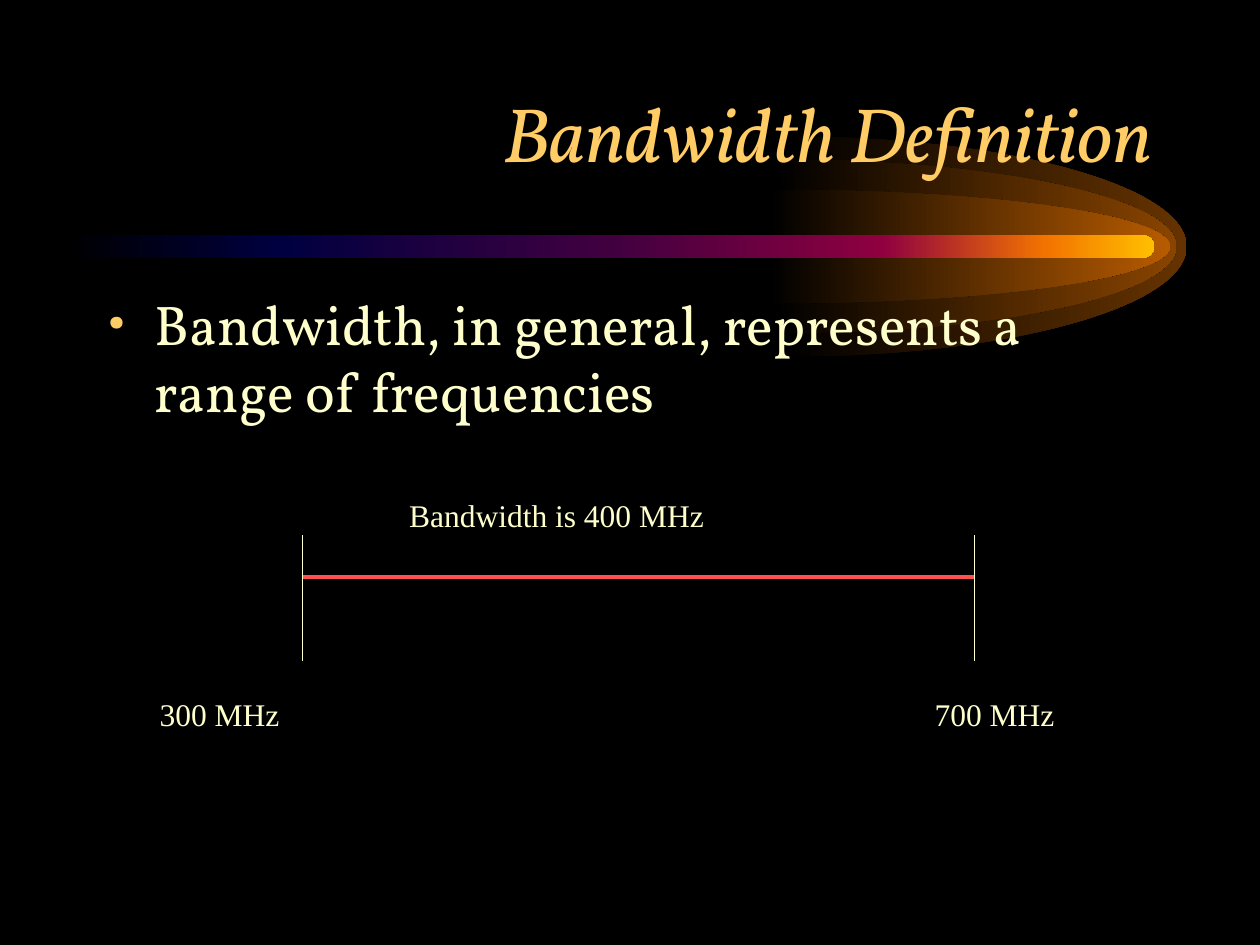
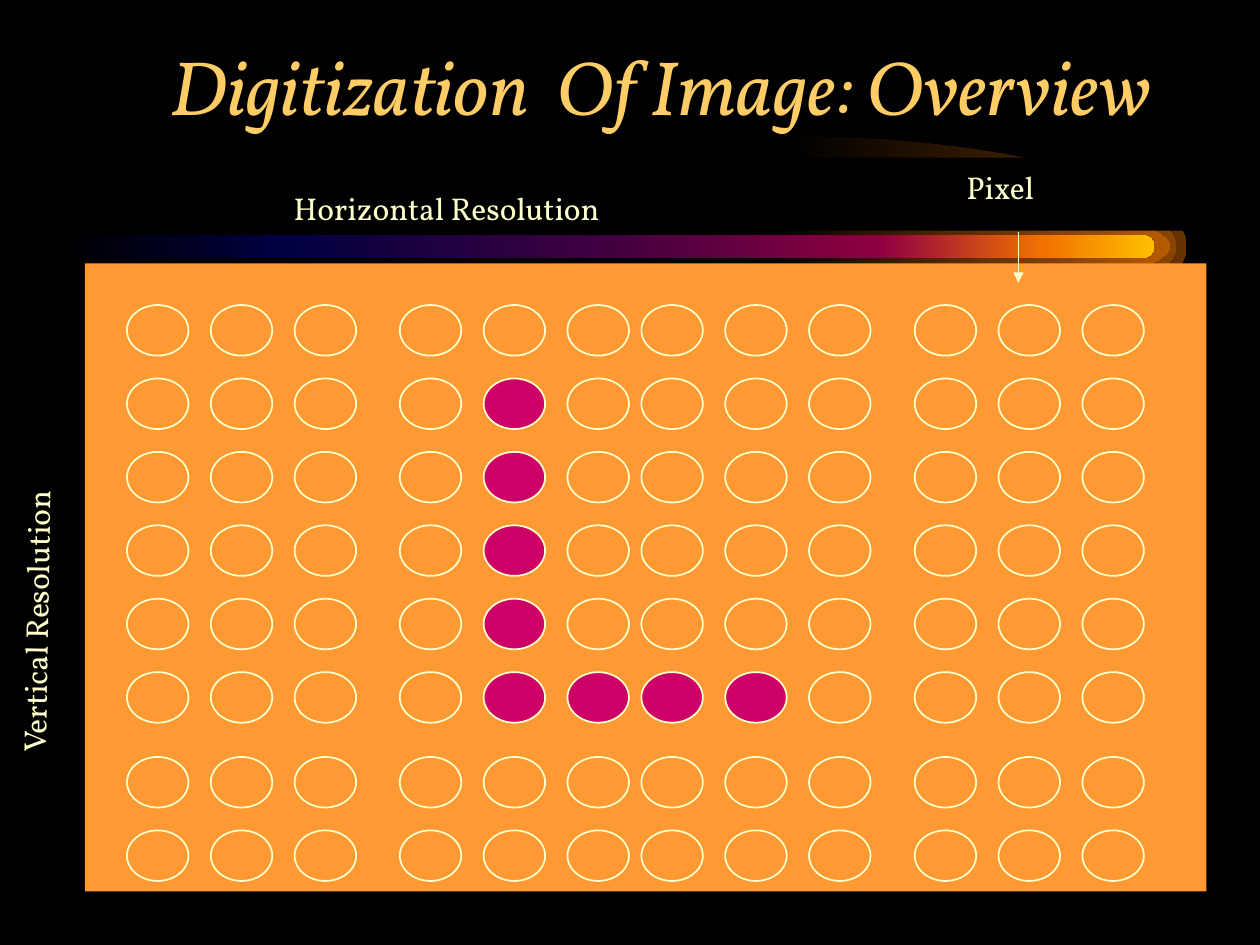
from dataclasses import dataclass

from lxml.etree import SubElement
from pptx import Presentation
from pptx.dml.color import RGBColor
from pptx.enum.shapes import MSO_CONNECTOR, MSO_SHAPE
from pptx.enum.text import MSO_ANCHOR, PP_ALIGN
from pptx.oxml.ns import qn
from pptx.util import Cm, Pt


@dataclass(frozen=True)
class Theme:
    """Colours, fonts and type sizes of the deck."""
    background: str = "000000"
    title: str = "FFCC66"
    text: str = "FFFFCC"
    span: str = "FF5050"
    screen: str = "FF9933"
    lit_pixel: str = "CC0066"
    glows: tuple = ("663300", "894400", "B75B00")
    comet: tuple = ((0, "000000"), (20, "000040"), (50, "400040"),
                    (75, "8F0040"), (90, "F27300"), (100, "FFBF00"))
    font: str = "Vollkorn"
    label_font: str = "Times New Roman"
    title_size: int = 44
    body_size: int = 32
    label_size: int = 18


THEME = Theme()
TITLE_BOX = (1.9, 1.07, 21.59, 3.18)
RAISED_TITLE_BOX = (1.9, 0.12, 21.59, 3.18)
COMET_BOX = (1.27, 4.74, 22, 0.46)
BODY_BOX = (1.91, 5.71, 21.59, 3)
RANGE_BOX = (6.1, 10.79, 13.54, 2.54)
SCREEN_BOX = (1.71, 5.31, 22.61, 12.66)
LETTER_L = {(row, 4) for row in range(1, 6)} | {(5, column) for column in range(5, 8)}
ARC_HANDLE = 0.55


def color(value):
    """Turn a hex string into a colour."""
    return RGBColor.from_string(value)


def lengths(box):
    """Turn centimetre numbers into lengths."""
    return [Cm(value) for value in box]


def set_gradient(shape, stops):
    """Fill a shape from left to right with the given stops."""
    shape.fill.gradient()
    shape.fill.gradient_angle = 0
    stop_list = shape.element.spPr.find(qn("a:gradFill")).find(qn("a:gsLst"))
    for stop in list(stop_list):
        stop_list.remove(stop)
    for position, value in stops:
        stop = SubElement(stop_list, qn("a:gs"), pos=str(position * 1000))
        SubElement(stop, qn("a:srgbClr"), val=value)


def add_preset(slide, kind, box, fill=None, line=None):
    """Add a preset shape with an optional fill and outline."""
    shape = slide.shapes.add_shape(kind, *lengths(box))
    shape.shadow.inherit = False
    if fill:
        shape.fill.solid()
        shape.fill.fore_color.rgb = color(fill)
    else:
        shape.fill.background()
    if line:
        shape.line.color.rgb = color(line)
        shape.line.width = Pt(1)
    else:
        shape.line.fill.background()
    return shape


def add_line(slide, start, end, value, width, arrow=False):
    """Add a straight line, with an arrowhead at its end if asked."""
    line = slide.shapes.add_connector(MSO_CONNECTOR.STRAIGHT, *lengths(start + end))
    line.line.color.rgb = color(value)
    line.line.width = Pt(width)
    if arrow:
        SubElement(line.line._get_or_add_ln(), qn("a:tailEnd"), type="triangle")
    SubElement(line.element.spPr, qn("a:effectLst"))


def add_text(slide, box, text, size=THEME.label_size, font=THEME.font,
             value=THEME.text, anchor=MSO_ANCHOR.TOP, bullet=False):
    """Add a one-paragraph text box."""
    shape = slide.shapes.add_textbox(*lengths(box))
    frame = shape.text_frame
    frame.word_wrap = True
    frame.vertical_anchor = anchor
    paragraph = frame.paragraphs[0]
    paragraph.text = text
    if bullet:
        properties = paragraph._p.get_or_add_pPr()
        properties.set("marL", str(Cm(0.95)))
        properties.set("indent", str(Cm(-0.95)))
        bullet_color = SubElement(properties, qn("a:buClr"))
        SubElement(bullet_color, qn("a:srgbClr"), val=THEME.title)
        SubElement(properties, qn("a:buFont"), typeface=font)
        SubElement(properties, qn("a:buChar"), char="•")
    paragraph.font.name = font
    paragraph.font.size = Pt(size)
    paragraph.font.color.rgb = color(value)
    return shape


def round_corners(shape):
    """Turn each three segments of an outline into one Bézier curve."""
    outline = next(shape.element.iter(qn("a:path")))
    segments = outline.findall(qn("a:lnTo"))
    for first in range(0, len(segments), 3):
        curve = SubElement(outline, qn("a:cubicBezTo"))
        segments[first].addprevious(curve)
        for segment in segments[first:first + 3]:
            curve.append(segment[0])
            outline.remove(segment)


def add_glow(slide, left, middle, width, radius, value):
    """Add a half ellipse that brightens to the right."""
    shoulder, rise = left + width * ARC_HANDLE, radius * ARC_HANDLE
    right, top, bottom = left + width, middle - radius, middle + radius
    points = [(shoulder, top), (right, middle - rise), (right, middle),
              (right, middle + rise), (shoulder, bottom), (left, bottom)]
    builder = slide.shapes.build_freeform(Cm(left), Cm(top))
    builder.add_line_segments([lengths(point) for point in points], close=True)
    glow = builder.convert_to_shape()
    round_corners(glow)
    glow.shadow.inherit = False
    glow.line.fill.background()
    set_gradient(glow, ((0, THEME.background), (100, value)))


def add_comet(slide, box):
    """Add the tapering colour bar with its glows."""
    left, top, width, height = box
    for offset, radius, value in zip((14.58, 14.38, 14.25), (2.22, 1.76, 1.15), THEME.glows):
        add_glow(slide, left + offset, top + height / 2, 8.07, radius, value)
    bar = add_preset(slide, MSO_SHAPE.ROUNDED_RECTANGLE, box)
    bar.adjustments[0] = 0.5
    set_gradient(bar, THEME.comet)


def add_titled_slide(presentation, title, title_box=TITLE_BOX):
    """Add a slide with the shared background, comet and title."""
    slide = presentation.slides.add_slide(presentation.slide_layouts[6])
    slide.background.fill.solid()
    slide.background.fill.fore_color.rgb = color(THEME.background)
    add_comet(slide, COMET_BOX)
    shape = add_text(slide, title_box, title, THEME.title_size,
                     value=THEME.title, anchor=MSO_ANCHOR.MIDDLE)
    paragraph = shape.text_frame.paragraphs[0]
    paragraph.alignment = PP_ALIGN.RIGHT
    paragraph.font.italic = True
    return slide


def add_frequency_range(slide, box):
    """Draw the frequency span between its two limits, with labels."""
    left, top, width, height = box
    right, bottom = left + width, top + height
    span_y = top + height / 3
    add_line(slide, (left, span_y), (right, span_y), THEME.span, 2.25)
    labels = ((left - 3.13, bottom + 0.42, 3.73, "300 MHz"),
              (right - 1.05, bottom + 0.42, 3.73, "700 MHz"),
              (left + 1.9, top - 1.05, 8.64, "Bandwidth is 400 MHz"))
    for x in (left, right):
        add_line(slide, (x, top), (x, bottom), THEME.text, 0.75)
    for x, y, label_width, text in labels:
        add_text(slide, (x, y, label_width, 1.27), text,
                 font=THEME.label_font, anchor=MSO_ANCHOR.MIDDLE)


def add_pixel_screen(slide, box):
    """Draw the screen and its pixels, lighting those of the letter."""
    left, top, width, height = box
    add_preset(slide, MSO_SHAPE.RECTANGLE, box, THEME.screen)
    columns = [start + 1.69 * step for start in (0.85, 6.35, 11.22, 16.73) for step in range(3)]
    rows = [start + 1.48 * step for start, count in ((0.84, 6), (9.95, 2)) for step in range(count)]
    for column, x in enumerate(columns):
        for row, y in enumerate(rows):
            fill = THEME.lit_pixel if (row, column) in LETTER_L else None
            add_preset(slide, MSO_SHAPE.OVAL, (left + x, top + y, 1.24, 1.02), fill, THEME.text)


def add_screen_labels(slide, box):
    """Label the pixel and both resolutions around the screen."""
    left, top, width, height = box
    add_preset(slide, MSO_SHAPE.RECTANGLE, (left + 3.37, top - 2.13, 19.69, 1.47), THEME.background)
    add_text(slide, (left + 17.52, top - 2.04, 2.36, 1.27), "Pixel")
    arrow_x = left + 18.82
    add_line(slide, (arrow_x, top - 0.63), (arrow_x, top + 0.39), THEME.text, 1, arrow=True)
    add_text(slide, (left + 3.96, top - 1.63, 8.81, 1.27), "Horizontal Resolution")
    vertical = add_text(slide, (left - 4.68, top + 5.64, 7.67, 1.27), "Vertical Resolution")
    vertical.rotation = 271


def build_bandwidth_slide(presentation):
    """Build the slide that defines bandwidth."""
    slide = add_titled_slide(presentation, "Bandwidth Definition")
    add_text(slide, BODY_BOX, "Bandwidth, in general, represents a range of frequencies",
             THEME.body_size, bullet=True)
    add_frequency_range(slide, RANGE_BOX)


def build_digitization_slide(presentation):
    """Build the slide that shows an image as pixels."""
    slide = add_titled_slide(presentation, "Digitization  Of Image: Overview", RAISED_TITLE_BOX)
    add_pixel_screen(slide, SCREEN_BOX)
    add_screen_labels(slide, SCREEN_BOX)


def main():
    """Build and save the deck."""
    presentation = Presentation()
    presentation.slide_width = Cm(25.4)
    presentation.slide_height = Cm(19.05)
    build_bandwidth_slide(presentation)
    build_digitization_slide(presentation)
    presentation.save("out.pptx")


if __name__ == "__main__":
    main()
